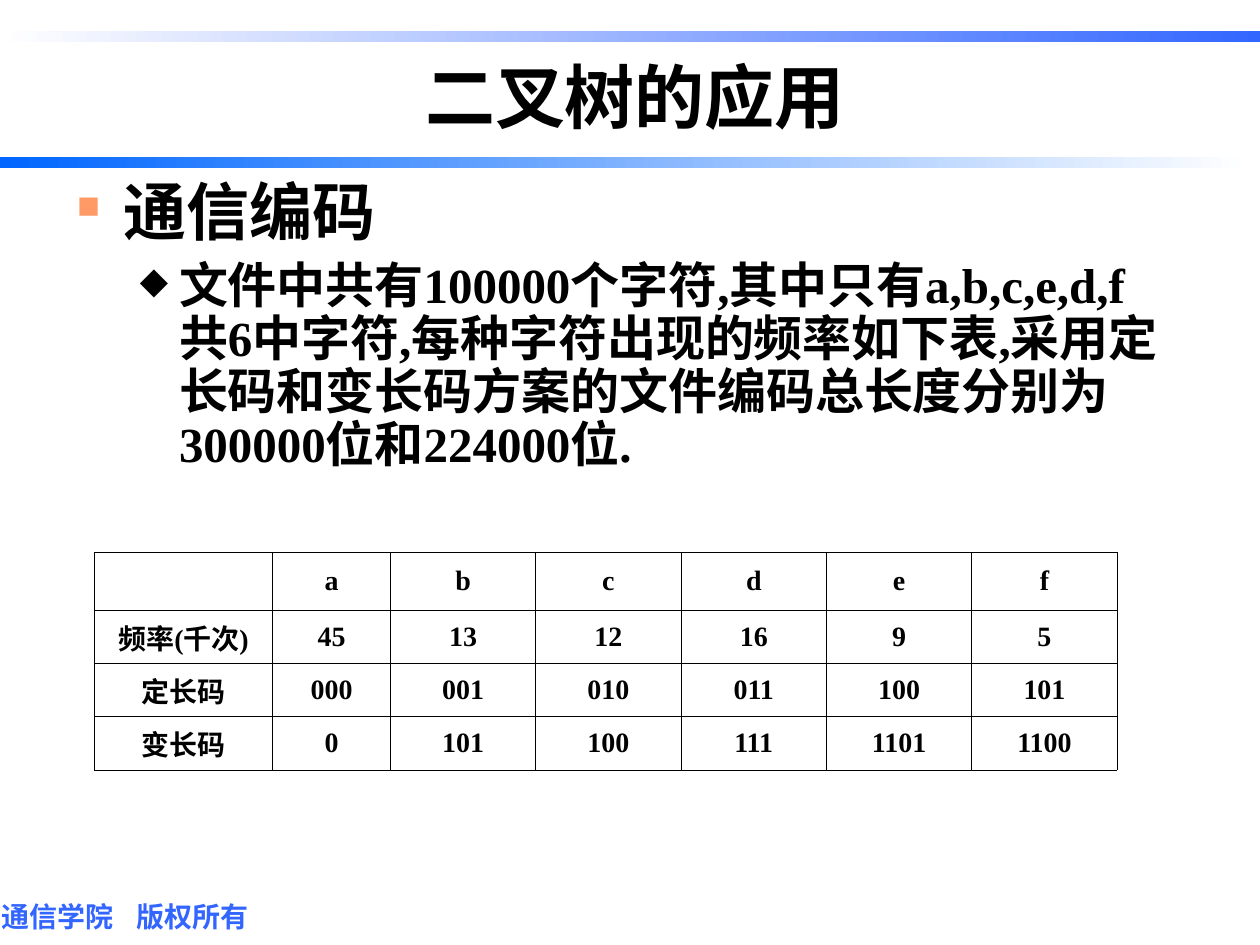
import pptx
import pptx.util
import pptx.dml.color
import pptx.enum.shapes
import pptx.enum.text
import pptx.oxml
import pptx.oxml.ns
import lxml.etree

Cm = pptx.util.Cm
Pt = pptx.util.Pt
RGB = pptx.dml.color.RGBColor
ALIGN = pptx.enum.text.PP_ALIGN
MIDDLE = pptx.enum.text.MSO_ANCHOR.MIDDLE
qn = pptx.oxml.ns.qn

BLACK = RGB(0x00, 0x00, 0x00)
WHITE = RGB(0xFF, 0xFF, 0xFF)
BLUE = RGB(0x33, 0x66, 0xFF)
AZURE = RGB(0x00, 0x66, 0xFF)
ORANGE = RGB(0xFF, 0x99, 0x66)
SERIF = "Times New Roman"
SANS = "Noto Sans CJK JP"


def assign(target, values):
    for name, value in values.items():
        setattr(target, name, value)


def add(parent, tag, **attrs):
    node = lxml.etree.SubElement(parent, qn(tag))
    for name, value in attrs.items():
        node.set(name, str(value))
    return node


class Page:
    """Holds the text style and the slide being filled."""

    def __init__(self, deck):
        self.slide = deck.slides.add_slide(deck.slide_layouts[6])
        self.shapes = self.slide.shapes
        self.style = {"name": SERIF, "bold": True}

    def label(self, para, text, size, color=BLACK, form=None, **font):
        run = para.add_run()
        run.text = text
        run.font.color.rgb = color
        assign(run.font, {**self.style, "size": Pt(size), **font})
        add(run._r.get_or_add_rPr(), "a:ea", typeface=SANS)
        assign(para, form or {})

    def box(self, left, top, width, height, **form):
        frame = self.shapes.add_textbox(
            Cm(left), Cm(top), Cm(width), Cm(height)).text_frame
        assign(frame, {"word_wrap": True, **form})
        return frame

    def band(self, top, width, start, end):
        """Draw a thin bar that fades from left to right."""
        bar = self.shapes.add_shape(
            pptx.enum.shapes.MSO_SHAPE.RECTANGLE,
            Cm(0), Cm(top), Cm(width), Cm(0.21))
        bar.shadow.inherit = False
        bar.line.fill.background()
        bar.fill.gradient()
        bar.fill.gradient_angle = 0
        for stop, color in zip(bar.fill.gradient_stops, (start, end)):
            stop.color.rgb = color

    def bullet(self, para, char, color, scale, left, hang):
        props = para._p.get_or_add_pPr()
        props.set("marL", str(int(Cm(left))))
        props.set("indent", str(-int(Cm(hang))))
        add(add(props, "a:buClr"), "a:srgbClr", val=color)
        add(props, "a:buSzPct", val=scale * 1000)
        add(props, "a:buChar", char=char)

    def border(self, cell):
        props = cell._tc.get_or_add_tcPr()
        for place, side in enumerate("LRTB"):
            line = add(props, "a:ln" + side, w=int(Pt(0.45)))
            add(add(line, "a:solidFill"), "a:srgbClr", val=BLACK)
            props.insert(place, line)

    def table(self, left, top, cols, rows, data):
        table = self.shapes.add_table(
            len(rows), len(cols), Cm(left), Cm(top),
            Cm(sum(cols)), Cm(sum(rows))).table
        assign(table, {"first_row": False, "horz_banding": False})
        for col, width in zip(table.columns, cols):
            col.width = Cm(width)
        for row, height, words in zip(table.rows, rows, data):
            row.height = Cm(height)
            for cell, word in zip(row.cells, words):
                cell.vertical_anchor = MIDDLE
                cell.fill.background()
                self.border(cell)
                if word:
                    self.label(cell.text_frame.paragraphs[0], word, 16,
                               form={"alignment": ALIGN.CENTER})


def main():
    deck = pptx.Presentation()
    assign(deck, {"slide_width": Cm(25.4), "slide_height": Cm(19.05)})
    page = Page(deck)

    edges = ("left", "right", "top", "bottom")
    foot = page.box(0, 18.11, 5.51, 0.71, vertical_anchor=MIDDLE,
                    **{"margin_" + edge: Cm(0.03) for edge in edges})
    para = foot.paragraphs[0]
    tabs = add(para._p.get_or_add_pPr(), "a:tabLst")
    add(tabs, "a:tab", pos=int(Cm(2.73)), algn="l")
    page.label(para, "通信学院\t版权所有", 16, BLUE, name=SANS)

    page.band(3.17, 25.2, AZURE, WHITE)
    page.band(0.63, 25.4, WHITE, BLUE)

    title = page.box(2.54, 1.07, 20.52, 2.11, vertical_anchor=MIDDLE)
    page.label(title.paragraphs[0], "二叉树的应用", 40,
               form={"alignment": ALIGN.CENTER, "line_spacing": 0.7})

    body = page.box(1.3, 3.53, 22.4, 6.6)
    head = body.paragraphs[0]
    page.bullet(head, "■", ORANGE, 50, 0.95, 0.95)
    page.label(head, "通信编码", 36, form={"line_spacing": 0.9})
    item = body.add_paragraph()
    page.bullet(item, "◆", BLACK, 75, 2.06, 0.79)
    page.label(
        item,
        "文件中共有100000个字符,其中只有a,b,c,e,d,f共6中字符,"
        "每种字符出现的频率如下表,采用定长码和变长码方案的文件编码"
        "总长度分别为300000位和224000位.", 28,
        form={"level": 1, "line_spacing": 0.9, "space_before": Pt(7)})

    page.table(1.9, 11.13, [3.6, 2.37] + [2.93] * 5, [1.18] + [1.07] * 3, [
        ["", "a", "b", "c", "d", "e", "f"],
        ["频率(千次)", "45", "13", "12", "16", "9", "5"],
        ["定长码", "000", "001", "010", "011", "100", "101"],
        ["变长码", "0", "101", "100", "111", "1101", "1100"],
    ])
    deck.save("out.pptx")


if __name__ == "__main__":
    main()
